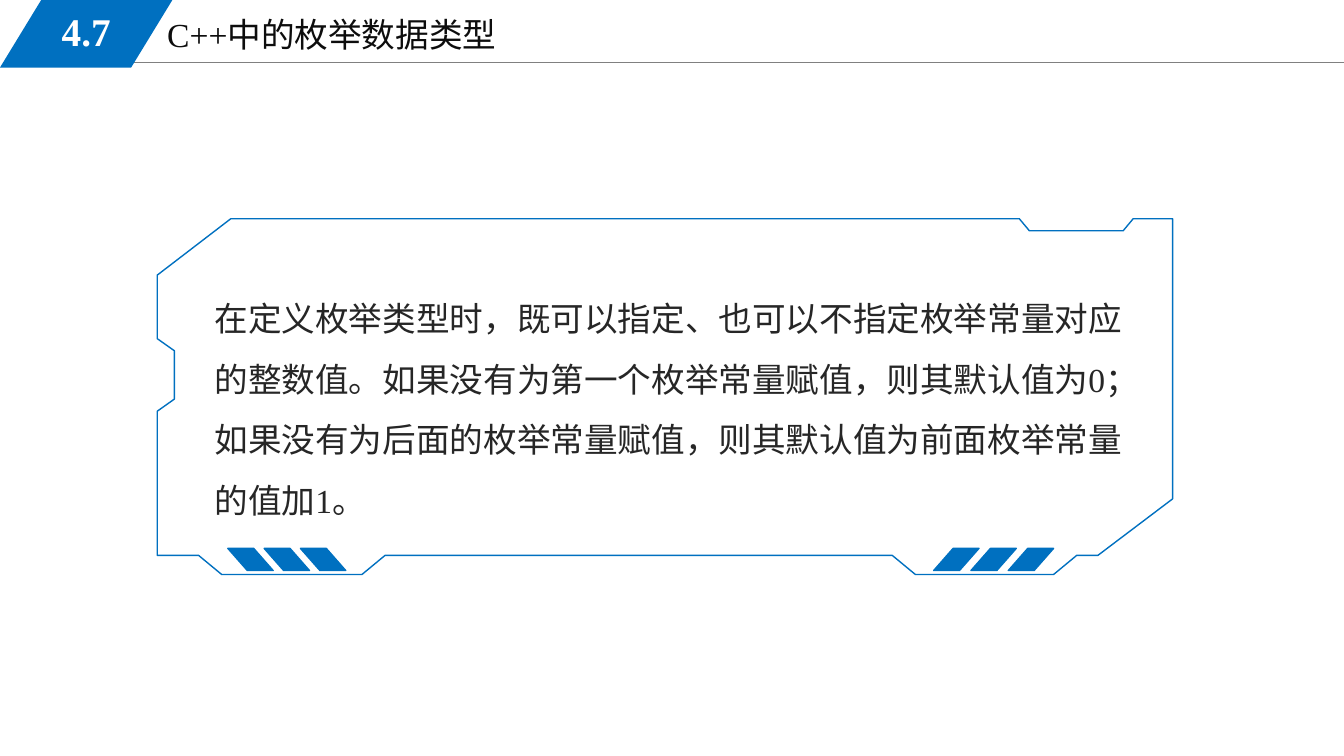
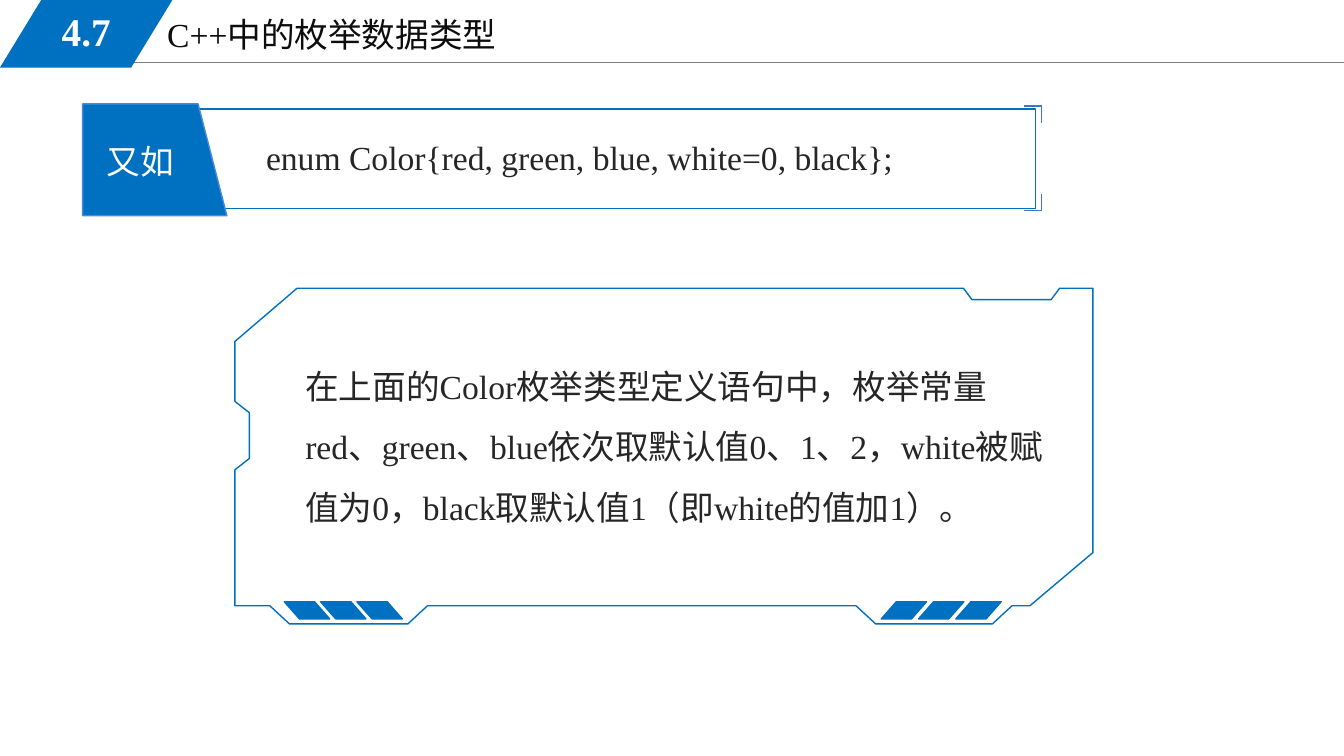
from lxml.etree import SubElement
from pptx import Presentation
from pptx.dml.color import RGBColor
from pptx.enum.shapes import MSO_CONNECTOR, MSO_SHAPE
from pptx.enum.text import MSO_ANCHOR, MSO_AUTO_SIZE, PP_ALIGN
from pptx.oxml.ns import qn
from pptx.util import Inches, Pt

BLUE, WHITE, INK = "0070C0", "FFFFFF", "262626"
LATIN, CHINESE = "Times New Roman", "Noto Sans CJK SC"
color = RGBColor.from_string


def paint(part, fill=None, line=None, width=1):
    if fill:
        part.fill.solid()
        part.fill.fore_color.rgb = color(fill)
    elif hasattr(part, "fill"):
        part.fill.background()
    if line:
        part.line.color.rgb = color(line)
        part.line.width = Pt(width)
    else:
        part.line.fill.background()
    SubElement(part._element.spPr, qn("a:effectLst"))
    return part


def write(shapes, place, words, ink=INK, frame_format={}, paragraph_format={}, font_format={}):
    box = shapes.add_textbox(*map(Inches, place))
    paragraph = box.text_frame.paragraphs[0]
    run = paragraph.add_run()
    run.text = words
    run.font.color.rgb = color(ink)
    formats = [
        (box.text_frame, {"word_wrap": True, "auto_size": MSO_AUTO_SIZE.SHAPE_TO_FIT_TEXT, **frame_format}),
        (paragraph, paragraph_format),
        (run.font, {"size": Pt(24), "name": LATIN, **font_format}),
    ]
    for target, values in formats:
        for key, value in values.items():
            setattr(target, key, value)
    SubElement(run.font._element, qn("a:ea")).set("typeface", CHINESE)
    return box


deck = Presentation()
deck.slide_width, deck.slide_height = Inches(13.33), Inches(7.5)
blank = deck.slide_layouts[6]
for placeholder in list(blank.placeholders):
    placeholder._element.getparent().remove(placeholder._element)

rule_slide = deck.slides.add_slide(blank)
example_slide = deck.slides.add_slide(blank)

header = rule_slide.shapes
rule = header.add_connector(MSO_CONNECTOR.STRAIGHT, *map(Inches, (1.13, 0.62, 13.33, 0.62)))
paint(rule, line="808080", width=0.75)
write(header, (1.56, 0.09, 5.67, 0.51), "C++中的枚举数据类型", "0D0D0D")
badge = header.add_shape(MSO_SHAPE.PARALLELOGRAM, *map(Inches, (0, 0, 1.71, 0.67)))
badge.adjustments[0] = 0.61
paint(badge, BLUE)
write(
    header, (0.25, 0.02, 1.21, 0.58), "4.7", WHITE,
    {"vertical_anchor": MSO_ANCHOR.MIDDLE},
    {"alignment": PP_ALIGN.CENTER},
    {"size": Pt(28), "bold": True},
)
for part in list(header):
    blank.shapes._spTree.append(part._element)

example = example_slide.shapes
paint(example.add_shape(MSO_SHAPE.RECTANGLE, *map(Inches, (0.82, 1.08, 9.45, 0.99))), line=BLUE)
tab = example.add_shape(MSO_SHAPE.FLOWCHART_MANUAL_INPUT, *map(Inches, (0.98, 0.87, 1.11, 1.43)))
tab.rotation = 90
paint(tab, BLUE, "4788E6")
write(
    example, (0.74, 1.35, 1.3, 0.5), "又如", WHITE,
    paragraph_format={"alignment": PP_ALIGN.CENTER},
    font_format={"name": CHINESE},
)
write(example, (2.54, 1.31, 7.61, 0.5), "enum Color{red, green, blue, white=0, black};")
for corner_y, inward in [(1.05, 0.17), (2.09, -0.17)]:
    for end_x, end_y in [(10.16, corner_y), (10.33, corner_y + inward)]:
        bracket = example.add_connector(
            MSO_CONNECTOR.STRAIGHT, *map(Inches, (10.33, corner_y, end_x, end_y))
        )
        paint(bracket, line="4472C4")

OUTLINE_WIDTH, OUTLINE_HEIGHT = 10.07, 3.53
OUTLINE = [
    (7.52, 3.53), (8.89, 3.53), (9.12, 3.34), (9.33, 3.34), (10.07, 2.78), (10.07, 0),
    (9.68, 0), (9.58, 0.12), (8.65, 0.12), (8.55, 0), (0.73, 0), (0, 0.56),
    (0, 1.19), (0.17, 1.31), (0.17, 1.79), (0, 1.91), (0, 3.34), (0.41, 3.34),
    (0.64, 3.53), (2.03, 3.53), (2.26, 3.34), (7.29, 3.34),
]
panels = [
    (
        rule_slide, (1.56, 2.17, 10.07, 3.53), (2.03, 2.71, 9.47, 2.45),
        (2.26, 9.26), 5.44, 0.22,
        "在定义枚举类型时，既可以指定、也可以不指定枚举常量对应的整数值。如果没有为第一个枚举常量赋值，"
        "则其默认值为0；如果没有为后面的枚举常量赋值，则其默认值为前面枚举常量的值加1。",
    ),
    (
        example_slide, (2.33, 2.86, 8.51, 3.33), (2.93, 3.38, 7.54, 1.92),
        (2.82, 8.74), 5.97, 0.17,
        "在上面的Color枚举类型定义语句中，枚举常量red、green、blue依次取默认值0、1、2，"
        "white被赋值为0，black取默认值1（即white的值加1）。",
    ),
]
for slide, (left, top, width, height), text_place, stripe_lefts, stripe_top, stripe_height, words in panels:
    write(slide.shapes, text_place, words, paragraph_format={"line_spacing": 1.5})
    corners = [
        (Inches(left + x * width / OUTLINE_WIDTH), Inches(top + y * height / OUTLINE_HEIGHT))
        for x, y in OUTLINE
    ]
    outline = slide.shapes.build_freeform(*corners[0])
    outline.add_line_segments(corners[1:], close=True)
    paint(outline.convert_to_shape(), line=BLUE)
    for stripe_left, step, mirrored in zip(stripe_lefts, (0.36, 0.37), (True, False)):
        for index in range(3):
            stripe = slide.shapes.add_shape(
                MSO_SHAPE.PARALLELOGRAM,
                *map(Inches, (stripe_left + index * step, stripe_top, 0.45, stripe_height)),
            )
            stripe.adjustments[0] = 0.88
            paint(stripe, BLUE, BLUE)
            if mirrored:
                stripe._element.spPr.xfrm.set("flipH", "1")

deck.save("out.pptx")
